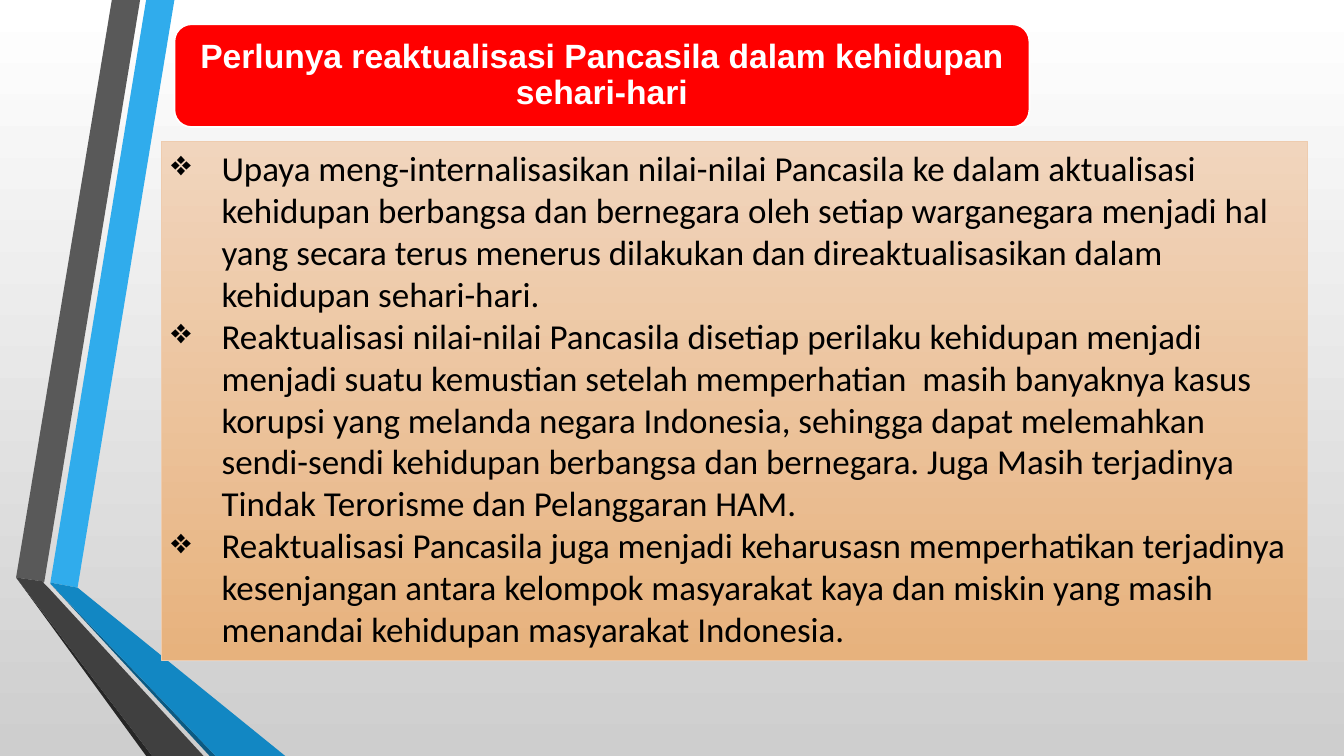
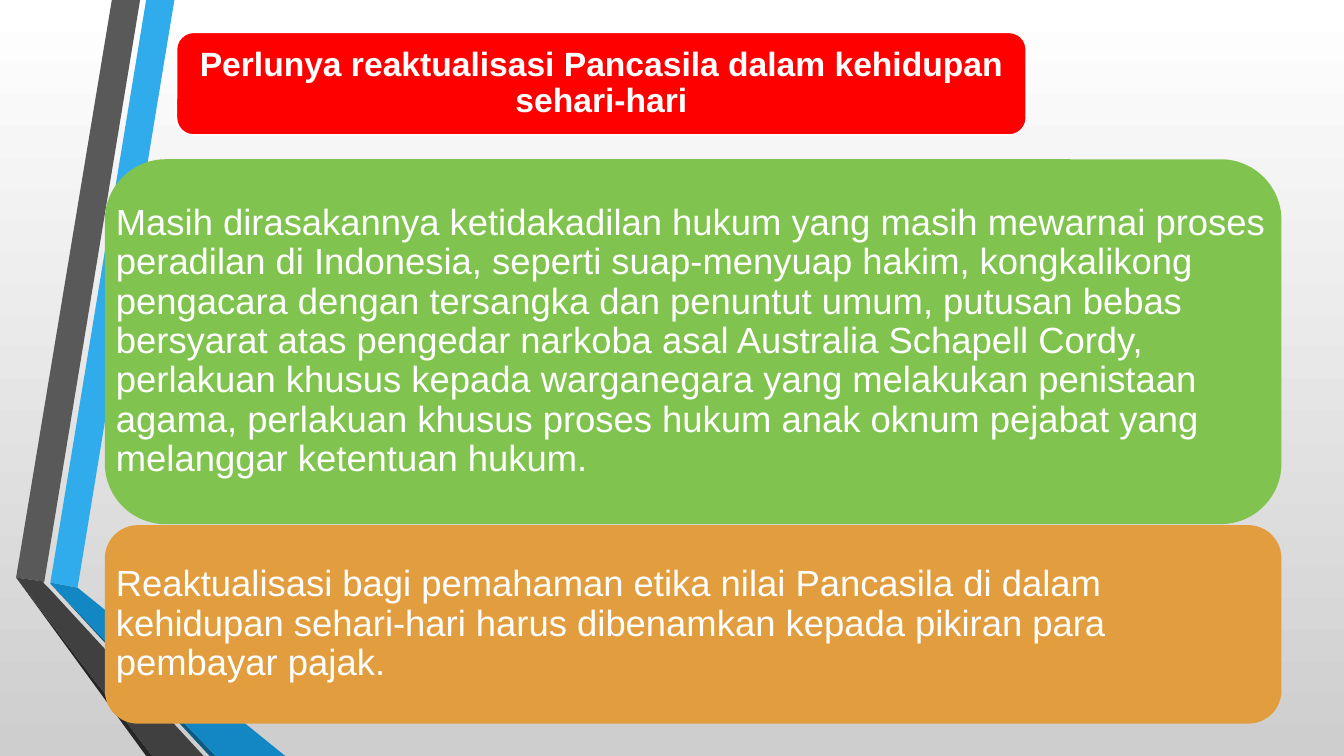
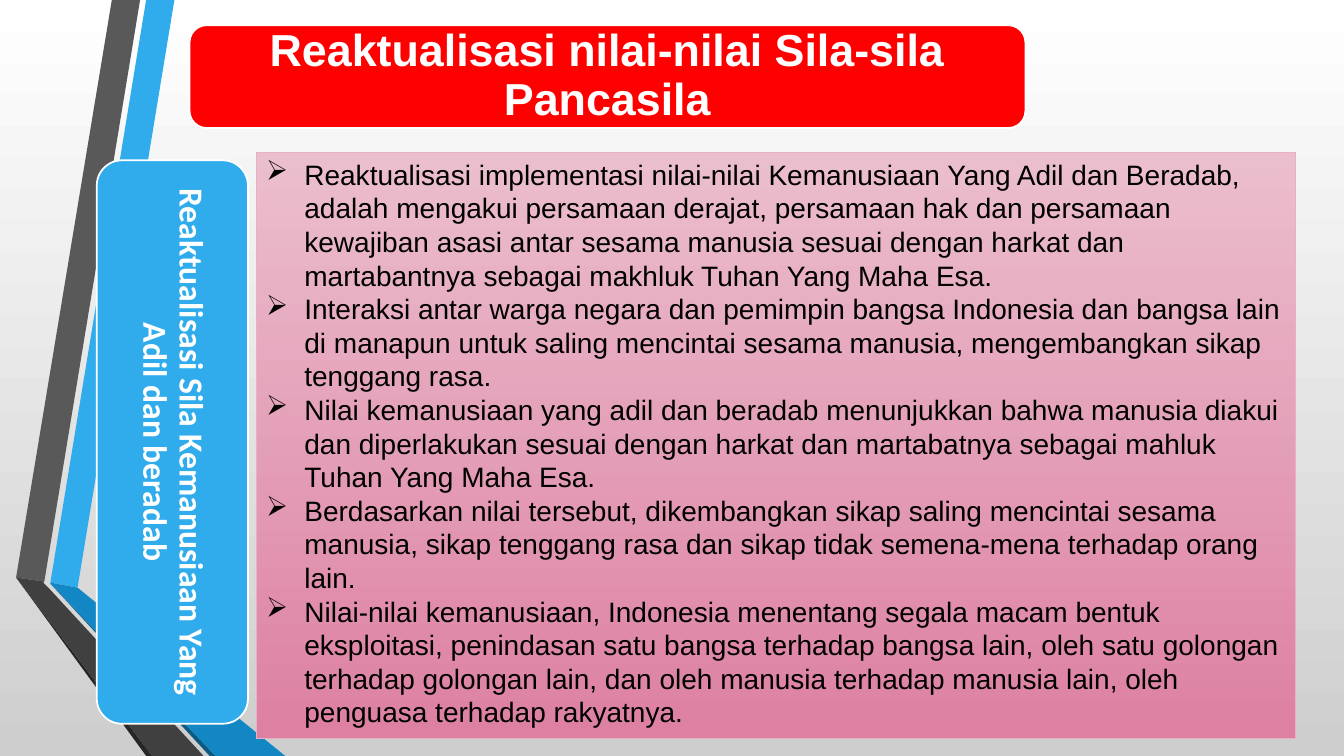
from lxml.etree import SubElement
from pptx import Presentation
from pptx.dml.color import RGBColor
from pptx.enum.shapes import MSO_SHAPE as Shape
from pptx.enum.text import MSO_ANCHOR as Anchor, MSO_AUTO_SIZE as AutoSize, PP_ALIGN as Align
from pptx.oxml.ns import qn
from pptx.util import Inches, Pt

WIDTH, HEIGHT = 13.33, 7.5
RED, BLUE, GREEN, ORANGE = "FF0000", "30ACEC", "80C34F", "E29D3E"
WHITE, BLACK = "FFFFFF", "000000"
BACKDROP = (WHITE, "CECECE")

RIBBONS = [
    (BLUE, [(0.5, 5.78), (0.77, 5.83), (1.73, 0), (1.45, 0)]),
    ("595959", [(1.39, 0), (1.11, 0), (0.16, 5.73), (0.44, 5.77)]),
    ("262626", [(0.16, 5.73), (1.45, 7.5), (1.51, 7.5)]),
    ("0C5A82", [(0.5, 5.79), (2.08, 7.5), (2.14, 7.5)]),
    ("1287C3", [(0.5, 5.79), (2.14, 7.5), (2.83, 7.5), (0.77, 5.83), (0.5, 5.78)]),
    ("404040", [(2.02, 7.5), (0.48, 5.83), (0.43, 5.78), (0.44, 5.77), (0.16, 5.73), (1.51, 7.5)]),
]

NEED_TITLE = "Perlunya reaktualisasi Pancasila dalam kehidupan sehari-hari"

SLIDES = [
    {
        "title": dict(text=NEED_TITLE, place=(1.73, 0.24, 8.48, 1.02), size=24, inset=0.1),
        "panel": dict(
            place=(1.6, 1.4, 11.37, 5.15), stops=("F1D5BD", "E7B27D"), edge="EECCAF",
            bullet="❖", indent=0.5, size=25, font="Calibri",
            text=[
                "Upaya meng-internalisasikan nilai-nilai Pancasila ke dalam aktualisasi kehidupan berbangsa dan bernegara oleh setiap warganegara menjadi hal yang secara terus menerus dilakukan dan direaktualisasikan dalam kehidupan sehari-hari.",
                "Reaktualisasi nilai-nilai Pancasila disetiap perilaku kehidupan menjadi menjadi suatu kemustian setelah memperhatian  masih banyaknya kasus korupsi yang melanda negara Indonesia, sehingga dapat melemahkan sendi-sendi kehidupan berbangsa dan bernegara. Juga Masih terjadinya Tindak Terorisme dan Pelanggaran HAM.",
                "Reaktualisasi Pancasila juga menjadi keharusasn memperhatikan terjadinya kesenjangan antara kelompok masyarakat kaya dan miskin yang masih menandai kehidupan masyarakat Indonesia.",
            ]),
    },
    {
        "title": dict(text=NEED_TITLE, place=(1.75, 0.32, 8.43, 1.02), size=24, inset=0.1),
        "cards": [
            dict(place=(1.04, 1.58, 11.67, 3.62), fill=GREEN, size=26, inset=0.11,
                 text="Masih dirasakannya ketidakadilan hukum yang masih mewarnai proses peradilan di Indonesia, seperti suap-menyuap hakim, kongkalikong pengacara dengan tersangka dan penuntut umum, putusan bebas bersyarat atas pengedar narkoba asal Australia Schapell Cordy, perlakuan khusus kepada warganegara yang melakukan penistaan agama, perlakuan khusus proses hukum anak oknum pejabat yang melanggar ketentuan hukum."),
            dict(place=(1.04, 5.21, 11.67, 1.97), fill=ORANGE, size=26, inset=0.11,
                 text="Reaktualisasi bagi pemahaman etika nilai Pancasila di dalam kehidupan sehari-hari harus dibenamkan kepada pikiran para pembayar pajak."),
        ],
    },
    {
        "title": dict(text="Reaktualisasi nilai-nilai Sila-sila Pancasila",
                      place=(1.88, 0.25, 8.29, 1.02), size=32, inset=0.18),
        "cards": [
            dict(place=(0.96, 1.59, 1.5, 5.59), fill=BLUE, edge=WHITE, size=24, inset=0.16,
                 font="Calibri", bold=True, align=Align.CENTER, vertical=True,
                 text="Reaktualisasi Sila Kemanusiaan Yang Adil dan beradab"),
        ],
        "panel": dict(
            place=(2.54, 1.51, 10.31, 5.82), stops=("EBBECD", "DD80A2"), edge="E8B1C3",
            bullet="➢", indent=0.38, size=20, font="Arial",
            text=[
                "Reaktualisasi implementasi nilai-nilai Kemanusiaan Yang Adil dan Beradab, adalah mengakui persamaan derajat, persamaan hak dan persamaan kewajiban asasi antar sesama manusia sesuai dengan harkat dan martabantnya sebagai makhluk Tuhan Yang Maha Esa.",
                "Interaksi antar warga negara dan pemimpin bangsa Indonesia dan bangsa lain di manapun untuk saling mencintai sesama manusia, mengembangkan sikap tenggang rasa.",
                "Nilai kemanusiaan yang adil dan beradab menunjukkan bahwa manusia diakui dan diperlakukan sesuai dengan harkat dan martabatnya sebagai mahluk Tuhan Yang Maha Esa.",
                "Berdasarkan nilai tersebut, dikembangkan sikap saling mencintai sesama manusia, sikap tenggang rasa dan sikap tidak semena-mena terhadap orang lain.",
                "Nilai-nilai kemanusiaan, Indonesia menentang segala macam bentuk eksploitasi, penindasan satu bangsa terhadap bangsa lain, oleh satu golongan terhadap golongan lain, dan oleh manusia terhadap manusia lain, oleh penguasa terhadap rakyatnya.",
            ]),
    },
]


def inches(place):
    return [Inches(length) for length in place]


def paint(fill, color):
    """Fill with one hex colour, or with a (top, bottom) pair as a gradient."""
    if isinstance(color, str):
        fill.solid()
        fill.fore_color.rgb = RGBColor.from_string(color)
        return
    fill.gradient()
    fill.gradient_angle = 270
    for stop, position, shade in zip(fill.gradient_stops, (0, 1), color):
        stop.position = position
        stop.color.rgb = RGBColor.from_string(shade)


def style_shape(shape, fill, edge=None, weight=1.25):
    shape.shadow.inherit = False
    paint(shape.fill, fill)
    if edge:
        paint(shape.line.fill, edge)
        shape.line.width = Pt(weight)
    else:
        shape.line.fill.background()


def add_bullet(para, symbol, indent):
    props = para._p.get_or_add_pPr()
    props.set("marL", str(Inches(indent)))
    props.set("indent", str(-Inches(indent)))
    SubElement(props, qn("a:buChar")).set("char", symbol)


def write(box, text, size, font="Arial", color=WHITE, bold=False, align=Align.LEFT,
          anchor=Anchor.MIDDLE, spacing=0.9, inset=None, bullet=None, indent=0, vertical=False):
    frame = box.text_frame
    frame.word_wrap = True
    frame.auto_size = AutoSize.NONE
    frame.vertical_anchor = anchor
    if inset is not None:
        frame.margin_left = frame.margin_right = Inches(inset)
        frame.margin_top = frame.margin_bottom = Inches(inset)
    if vertical:
        box.element.txBody.bodyPr.set("vert", "vert")
    lines = [text] if isinstance(text, str) else text
    for number, line in enumerate(lines):
        para = frame.add_paragraph() if number else frame.paragraphs[0]
        para.alignment = align
        para.line_spacing = spacing
        if bullet:
            add_bullet(para, bullet, indent)
        span = para.add_run()
        span.text = line
        span.font.name = font
        span.font.size = Pt(size)
        span.font.bold = bold
        span.font.color.rgb = RGBColor.from_string(color)


def add_title(page, text, place, **style):
    band = page.shapes.add_shape(Shape.ROUNDED_RECTANGLE, *inches(place))
    style_shape(band, RED, WHITE)
    page.shapes.element.insert(2, band.element)  # behind the title
    title = page.shapes.title
    title.left, title.top, title.width, title.height = inches(place)
    write(title, text, bold=True, align=Align.CENTER, **style)


def add_card(page, text, place, fill, edge=None, **style):
    card = page.shapes.add_shape(Shape.ROUNDED_RECTANGLE, *inches(place))
    style_shape(card, fill, edge)
    write(page.shapes.add_textbox(*inches(place)), text, **style)


def add_panel(page, text, place, stops, edge, **style):
    panel = page.shapes.add_shape(Shape.RECTANGLE, *inches(place))
    style_shape(panel, stops, edge, 0.75)
    write(panel, text, color=BLACK, anchor=Anchor.TOP, spacing=1.0, **style)


def dress_master(master, page):
    """Put backdrop and ribbons on the master; the page only serves to draw them."""
    paint(master.background.fill, BACKDROP)
    for index, (color, points) in enumerate(RIBBONS, start=2):
        corners = [inches(point) for point in points]
        builder = page.shapes.build_freeform(*corners[0])
        builder.add_line_segments(corners[1:], close=True)
        ribbon = builder.convert_to_shape()
        style_shape(ribbon, color)
        master.shapes.element.insert(index, ribbon.element)


def main():
    deck = Presentation()
    deck.slide_width, deck.slide_height = inches((WIDTH, HEIGHT))
    title_only = deck.slide_layouts[5]
    pages = [deck.slides.add_slide(title_only) for _ in SLIDES]
    dress_master(deck.slide_master, pages[0])
    for page, content in zip(pages, SLIDES):
        add_title(page, **content["title"])
        for card in content.get("cards", []):
            add_card(page, **card)
        if "panel" in content:
            add_panel(page, **content["panel"])
    deck.save("out.pptx")


if __name__ == "__main__":
    main()
